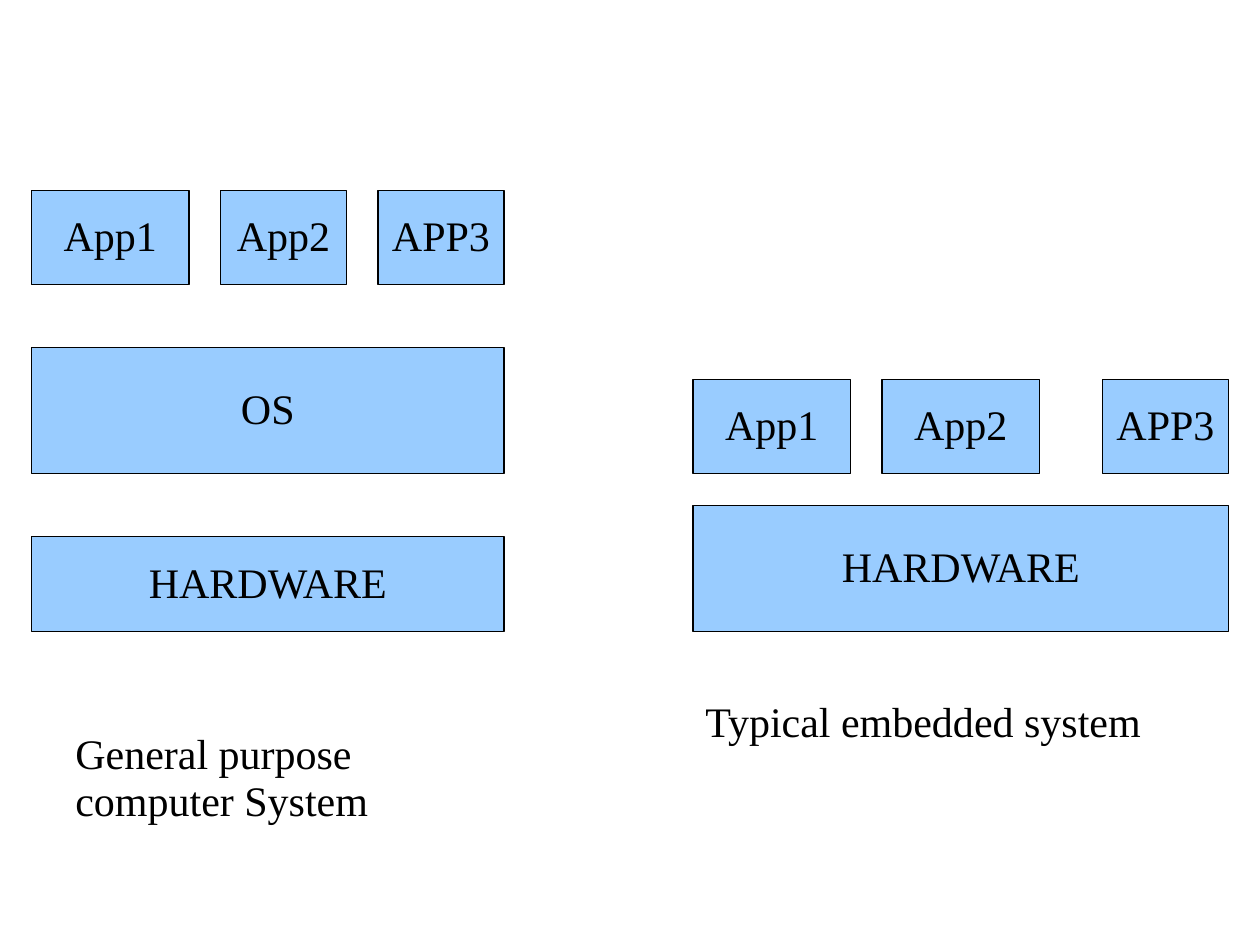
from pptx import Presentation
from pptx.dml.color import RGBColor
from pptx.enum.shapes import MSO_SHAPE
from pptx.enum.text import MSO_ANCHOR, PP_ALIGN
from pptx.util import Emu, Pt

EMU_PER_PX = 9144  # 100 px to the inch
COLORS = {"block": "99CCFF", "ink": "000000"}
FONT = {"name": "Times New Roman", "size": Pt(24)}
BLOCK_FRAME = {"word_wrap": True, "vertical_anchor": MSO_ANCHOR.MIDDLE}
CAPTION_FRAME = {"word_wrap": True, "vertical_anchor": MSO_ANCHOR.TOP}

# Label, left, top, width, height
BLOCKS = [
    # General purpose computer
    ("HARDWARE", 25, 426, 375, 75),
    ("OS", 25, 276, 375, 100),
    ("App1", 25, 151, 125, 75),
    ("App2", 175, 151, 100, 75),
    ("APP3", 300, 151, 100, 75),
    # Embedded system
    ("HARDWARE", 550, 401, 425, 100),
    ("App1", 550, 301, 125, 75),
    ("App2", 700, 301, 125, 75),
    ("APP3", 875, 301, 100, 75),
]
CAPTIONS = [
    ("General purpose computer System", 50, 576, 350, 84),
    ("Typical embedded system", 550, 551, 450, 47),
]


def px(value):
    return Emu(value * EMU_PER_PX)


def color(name):
    return RGBColor.from_string(COLORS[name])


def apply(target, values):
    for name, value in values.items():
        setattr(target, name, value)


def write(shape, text, frame_format, alignment):
    frame = shape.text_frame
    apply(frame, frame_format)
    paragraph = frame.paragraphs[0]
    paragraph.text = text
    apply(paragraph, {"alignment": alignment, "line_spacing": 0.93})
    apply(paragraph.font, FONT)
    paragraph.font.color.rgb = color("ink")


def add_block(slide, text, *box):
    shape = slide.shapes.add_shape(MSO_SHAPE.ROUNDED_RECTANGLE, *map(px, box))
    shape.adjustments[0] = 0
    shape.shadow.inherit = False
    shape.fill.solid()
    shape.fill.fore_color.rgb = color("block")
    shape.line.color.rgb = color("ink")
    shape.line.width = Pt(0.75)
    write(shape, text, BLOCK_FRAME, PP_ALIGN.CENTER)


def add_caption(slide, text, *box):
    shape = slide.shapes.add_textbox(*map(px, box))
    write(shape, text, CAPTION_FRAME, PP_ALIGN.LEFT)


def main():
    presentation = Presentation()
    apply(presentation, {"slide_width": px(1000), "slide_height": px(750)})
    slide = presentation.slides.add_slide(presentation.slide_layouts[6])
    for block in BLOCKS:
        add_block(slide, *block)
    for caption in CAPTIONS:
        add_caption(slide, *caption)
    presentation.save("out.pptx")


if __name__ == "__main__":
    main()
